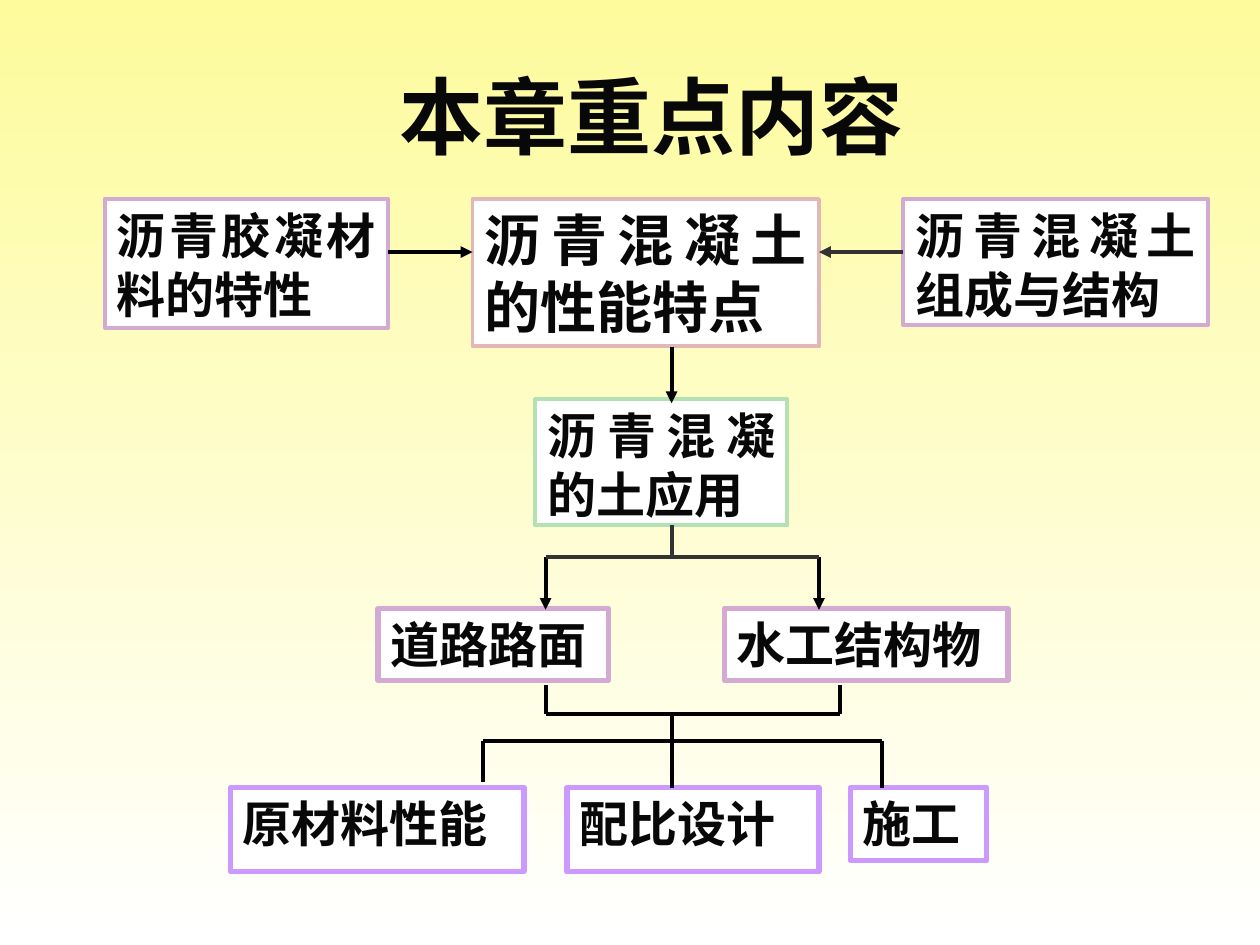
from lxml import etree
from pptx import Presentation
from pptx import util as u
from pptx.dml.color import RGBColor
from pptx.enum import shapes, text
from pptx.oxml.ns import qn

YELLOW = RGBColor(0xFD, 0xFB, 0x9B)
WHITE = RGBColor(0xFF, 0xFF, 0xFF)
INK = RGBColor(0x08, 0x08, 0x08)
BLACK = RGBColor(0x00, 0x00, 0x00)
GRAY = RGBColor(0x33, 0x33, 0x33)
MAUVE = RGBColor(0xD2, 0xAA, 0xD2)
PINK = RGBColor(0xE1, 0xB7, 0xB7)
GREEN = RGBColor(0xB3, 0xE1, 0xB3)
VIOLET = RGBColor(0xCC, 0x99, 0xFF)


class Diagram:
    """Style and drawing methods for one slide."""

    font_name = "Times New Roman"
    line_width = u.Pt(2.25)

    def __init__(self, slide):
        self.slide = slide

    def background(self, top, bottom):
        fill = self.slide.background.fill
        fill.gradient()
        fill.gradient_angle = 270
        for stop, color, position in zip(fill.gradient_stops, (top, bottom), (0, 1)):
            stop.color.rgb = color
            stop.position = position

    def set_text(self, shape, wording, size, alignment, anchor):
        frame = shape.text_frame
        frame.text = wording
        frame.word_wrap = True
        frame.vertical_anchor = anchor
        paragraph = frame.paragraphs[0]
        paragraph.alignment = alignment
        font = paragraph.runs[0].font
        font.name, font.size, font.bold = self.font_name, u.Pt(size), True
        font.color.rgb = INK

    def title(self, wording, left, top, width, height):
        shape = self.slide.shapes.add_textbox(*map(u.Inches, (left, top, width, height)))
        self.set_text(shape, wording, 48, text.PP_ALIGN.CENTER, text.MSO_ANCHOR.MIDDLE)

    def box(self, wording, left, top, width, height, color, border=2.25, size=28):
        shape = self.slide.shapes.add_shape(
            shapes.MSO_SHAPE.RECTANGLE, *map(u.Inches, (left, top, width, height)))
        shape.shadow.inherit = False
        shape.fill.solid()
        shape.fill.fore_color.rgb = WHITE
        shape.line.color.rgb = color
        shape.line.width = u.Pt(border)
        self.set_text(shape, wording, size, text.PP_ALIGN.JUSTIFY, text.MSO_ANCHOR.TOP)

    def line(self, x1, y1, x2, y2, color=BLACK, arrow=False):
        connector = self.slide.shapes.add_connector(
            shapes.MSO_CONNECTOR.STRAIGHT, *map(u.Inches, (x1, y1, x2, y2)))
        connector.line.color.rgb = color
        connector.line.width = self.line_width
        if arrow:
            etree.SubElement(connector.get_or_add_ln(), qn("a:tailEnd"), type="triangle")
        etree.SubElement(connector.element.spPr, qn("a:effectLst"))


def main():
    presentation = Presentation()
    presentation.slide_width = u.Inches(10)
    presentation.slide_height = u.Inches(7.5)
    diagram = Diagram(presentation.slides.add_slide(presentation.slide_layouts[6]))
    diagram.background(YELLOW, WHITE)
    diagram.title("本章重点内容", 0.92, 0.5, 8.5, 0.83)

    # Properties and structure
    row_top = 1.58
    diagram.box("沥青混凝土组成与结构", 7.17, row_top, 2.42, 1, MAUVE)
    diagram.box("沥青混凝土的性能特点", 3.75, row_top, 2.75, 1.17, PINK, size=32)
    diagram.box("沥青胶凝材料的特性", 0.83, row_top, 2.25, 1.02, MAUVE)

    # Application and its two fields
    diagram.box("沥青混凝的土应用", 4.25, 3.17, 2, 1, GREEN)
    for wording, left, width in (("道路路面", 3, 1.83), ("水工结构物", 5.75, 2.25)):
        diagram.box(wording, left, 4.83, width, 0.57, MAUVE, border=3)

    # Shared topics
    for wording, left, width, height in (("原材料性能", 1.83, 2.33, 0.67),
                                         ("配比设计", 4.5, 2, 0.67),
                                         ("施工", 6.75, 1.08, 0.58)):
        diagram.box(wording, left, 6.25, width, height, VIOLET, border=3)

    # Arrows into the performance box and down to the application
    trunk = 5.33
    diagram.line(3.08, 2, 3.75, 2, arrow=True)
    diagram.line(7.17, 2, 6.5, 2, GRAY, arrow=True)
    diagram.line(trunk, 2.75, trunk, 3.2, arrow=True)

    # Fork to the two fields
    fork, left, right = 4.42, 4.33, 6.5
    for x in (left, right):
        diagram.line(x, fork, x, 4.84, arrow=True)
    diagram.line(left, fork, right, fork, GRAY)
    diagram.line(trunk, 4.17, trunk, fork, GRAY)

    # Merge of the two fields
    merge, right = 5.67, 6.67
    for x in (left, right):
        diagram.line(x, 5.44, x, merge)
    diagram.line(left, merge, right, merge)
    diagram.line(trunk, merge, trunk, 6.25)

    # Split to the shared topics
    split, left, right = 5.88, 3.83, 7
    diagram.line(left, split, right, split)
    diagram.line(left, split, left, 6.21)
    diagram.line(right, split, right, 6.25)

    presentation.save("out.pptx")


if __name__ == "__main__":
    main()
